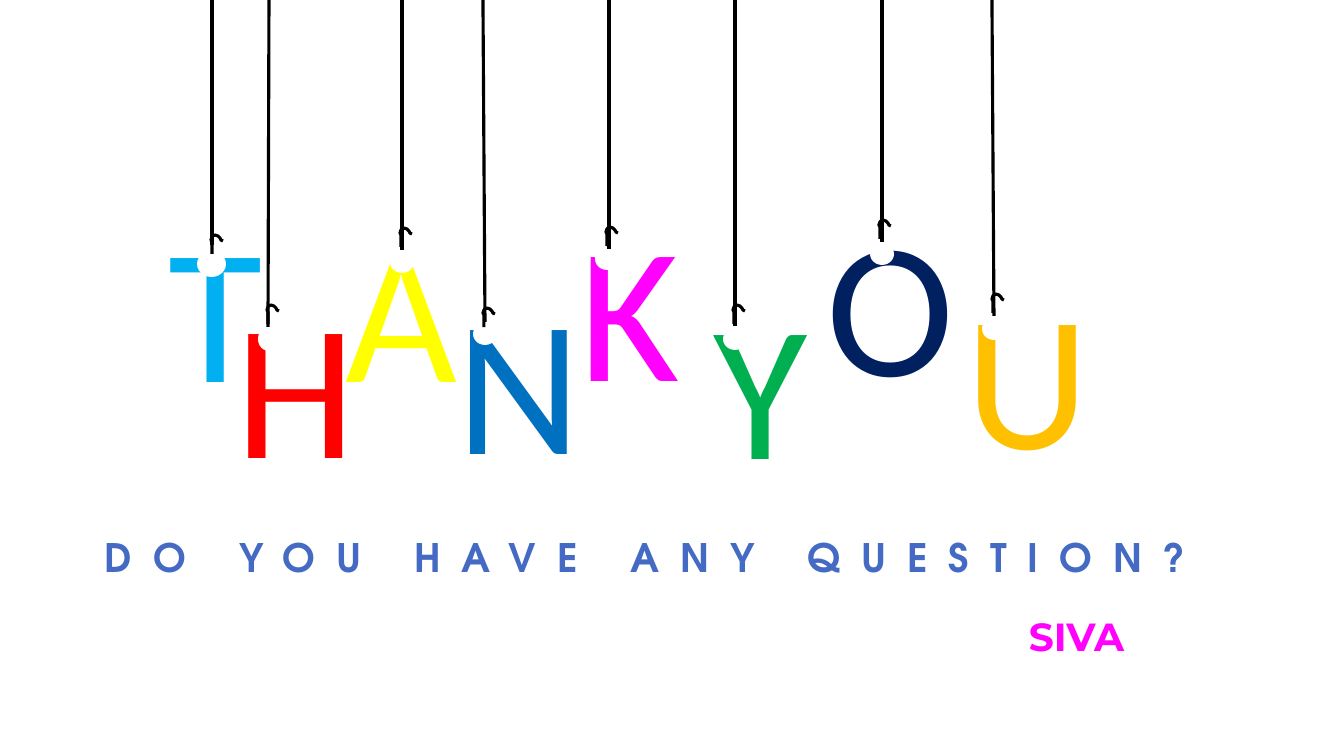
import lxml.etree
import pptx
import pptx.dml.color
import pptx.enum.shapes
import pptx.enum.text
import pptx.oxml.ns
import pptx.util

COLOURS = {
    "sky": "00B0F0", "red": "FF0000", "yellow": "FFFF00", "blue": "0070C0",
    "magenta": "FF01FD", "green": "00B050", "navy": "002060", "amber": "FFC000",
    "white": "FFFFFF", "black": "000000",
}
QUESTION_STOPS = [(0, "6F88D0"), (49, "456AC4"), (50, "285AB2"), (92, "29529A"), (100, "285098")]
HOOK_CURVE = [(0, -12), (-1, -14), (0, -17), (1, -18), (3, -19), (6, -18), (8, -16), (9, -14), (11, -13)]
LETTER_SIZE = (191, 244)

# letter, colour, letter corner, bead box, cable (top x, bottom x, bottom y), hook start
HANGING_LETTERS = [
    ("T", "sky", (159, 184), (197, 251, 29, 26), (212, 212, 245), (212, 254)),
    ("H", "red", (226, 260), (258, 327, 22, 24), (269, 268, 327), (268, 324)),
    ("A", "yellow", (336, 184), (390, 251, 24, 22), (402, 402, 250), (401, 247)),
    ("N", "blue", (447, 256), (473, 323, 24, 22), (483, 485, 322), (484, 327)),
    ("K", "magenta", (570, 183), (595, 248, 24, 22), (609, 609, 249), (607, 246)),
    ("Y", "green", (704, 261), (723, 328, 24, 22), (735, 735, 326), (734, 324)),
    ("O", "navy", (817, 178), (870, 243, 24, 22), (882, 882, 242), (880, 239)),
    ("U", "amber", (956, 251), (982, 318, 24, 22), (992, 994, 316), (993, 313)),
]


def px(length):
    return pptx.util.Emu(round(length * 914400 / 100.8))


def add_child(parent, tag, **attributes):
    return lxml.etree.SubElement(parent, pptx.oxml.ns.qn(tag), **attributes)


class HangingSlide:
    def __init__(self, slide):
        self.slide = slide
        self.cable_width = pptx.util.Pt(2.25)

    def colour(self, name):
        return pptx.dml.color.RGBColor.from_string(COLOURS[name])

    def text(self, words, box, font_name, size, colour=None, bold=False, spacing=0, centred=False):
        shape = self.slide.shapes.add_textbox(*map(px, box))
        frame = shape.text_frame
        frame.word_wrap = True
        frame.auto_size = pptx.enum.text.MSO_AUTO_SIZE.SHAPE_TO_FIT_TEXT
        paragraph = frame.paragraphs[0]
        if centred:
            paragraph.alignment = pptx.enum.text.PP_ALIGN.CENTER
        run = paragraph.add_run()
        run.text = words
        run.font.name = font_name
        run.font.size = pptx.util.Pt(size)
        run.font.bold = bold
        if colour:
            run.font.color.rgb = self.colour(colour)
        if spacing:
            run._r.get_or_add_rPr().set("spc", str(spacing * 100))
        return run

    def outline(self, run, colour):
        properties = run._r.get_or_add_rPr()
        line = add_child(properties, "a:ln", w="9525")
        add_child(add_child(line, "a:solidFill"), "a:srgbClr", val=COLOURS[colour])
        properties.insert(0, line)

    def gradient(self, run, stops):
        run.font.fill.gradient()
        run.font.fill.gradient_angle = 270
        stop_list = run._r.get_or_add_rPr().find(".//" + pptx.oxml.ns.qn("a:gsLst"))
        for stop in list(stop_list):
            stop_list.remove(stop)
        for percent, value in stops:
            stop = add_child(stop_list, "a:gs", pos=str(percent * 1000))
            add_child(stop, "a:srgbClr", val=value)

    def bead(self, box):
        shape = self.slide.shapes.add_shape(pptx.enum.shapes.MSO_SHAPE.OVAL, *map(px, box))
        shape.shadow.inherit = False
        shape.fill.solid()
        shape.fill.fore_color.rgb = self.colour("white")
        shape.line.fill.background()

    def stroke(self, shape):
        shape.line.color.rgb = self.colour("black")
        shape.line.width = self.cable_width

    def cable(self, top_x, bottom_x, bottom_y):
        connector = self.slide.shapes.add_connector(
            pptx.enum.shapes.MSO_CONNECTOR.STRAIGHT, px(top_x), px(0), px(bottom_x), px(bottom_y))
        self.stroke(connector)
        add_child(connector._element.spPr, "a:effectLst")

    def hook(self, x, y):
        builder = self.slide.shapes.build_freeform(x, y, scale=px(1))
        builder.add_line_segments([(x + dx, y + dy) for dx, dy in HOOK_CURVE], close=False)
        shape = builder.convert_to_shape()
        shape.shadow.inherit = False
        shape.fill.background()
        self.stroke(shape)

    def hanging_letter(self, letter, colour, corner, bead, cable, hook):
        run = self.text(letter, corner + LETTER_SIZE, "Calibri", 138, colour, spacing=3)
        self.outline(run, "white")
        self.bead(bead)
        self.cable(*cable)
        self.hook(*hook)


def main():
    presentation = pptx.Presentation()
    presentation.slide_width = px(1344)
    presentation.slide_height = px(756)
    page = HangingSlide(presentation.slides.add_slide(presentation.slide_layouts[6]))
    for item in HANGING_LETTERS:
        page.hanging_letter(*item)
    question = page.text("DO YOU HAVE ANY QUESTION?", (95, 528, 1202, 57),
                         "TeX Gyre Adventor", 28, bold=True, spacing=15)
    page.gradient(question, QUESTION_STOPS)
    page.text("SIVA", (916, 607, 321, 57), "Montserrat", 28, "magenta", bold=True, centred=True)
    presentation.save("out.pptx")


if __name__ == "__main__":
    main()
